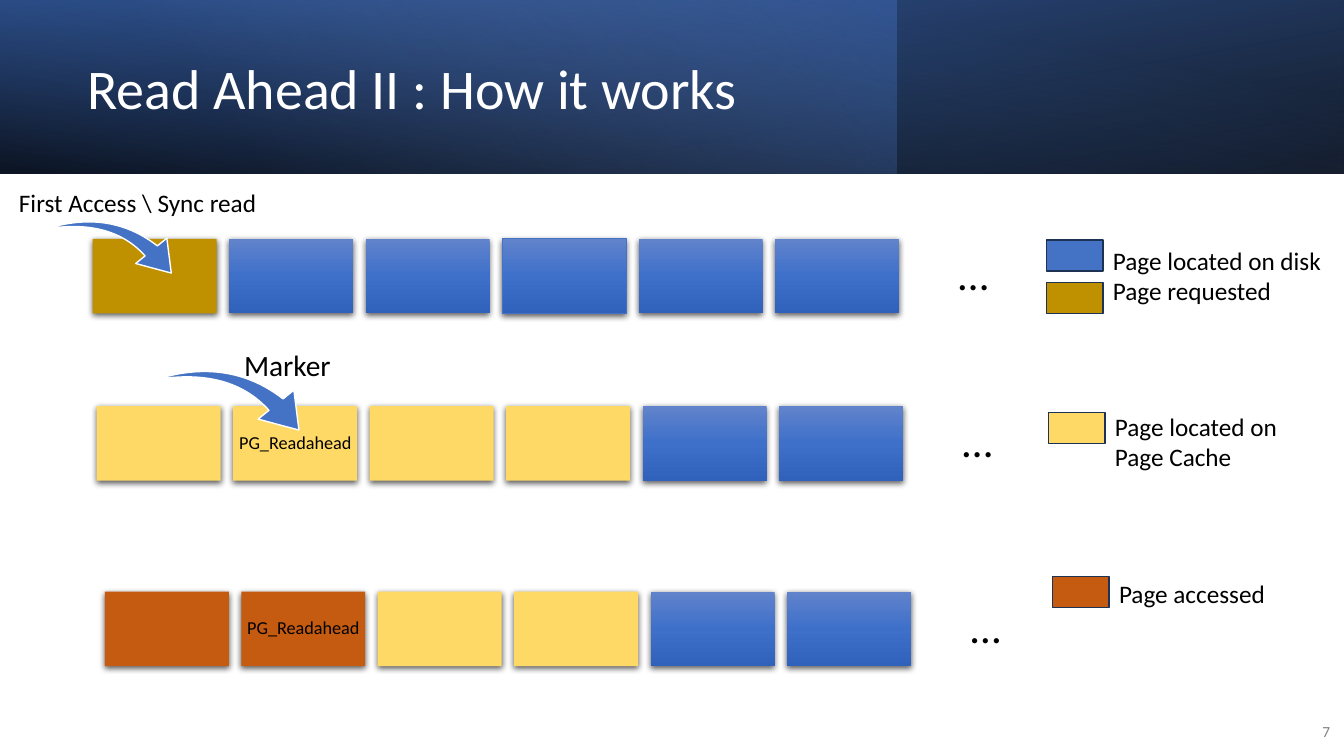
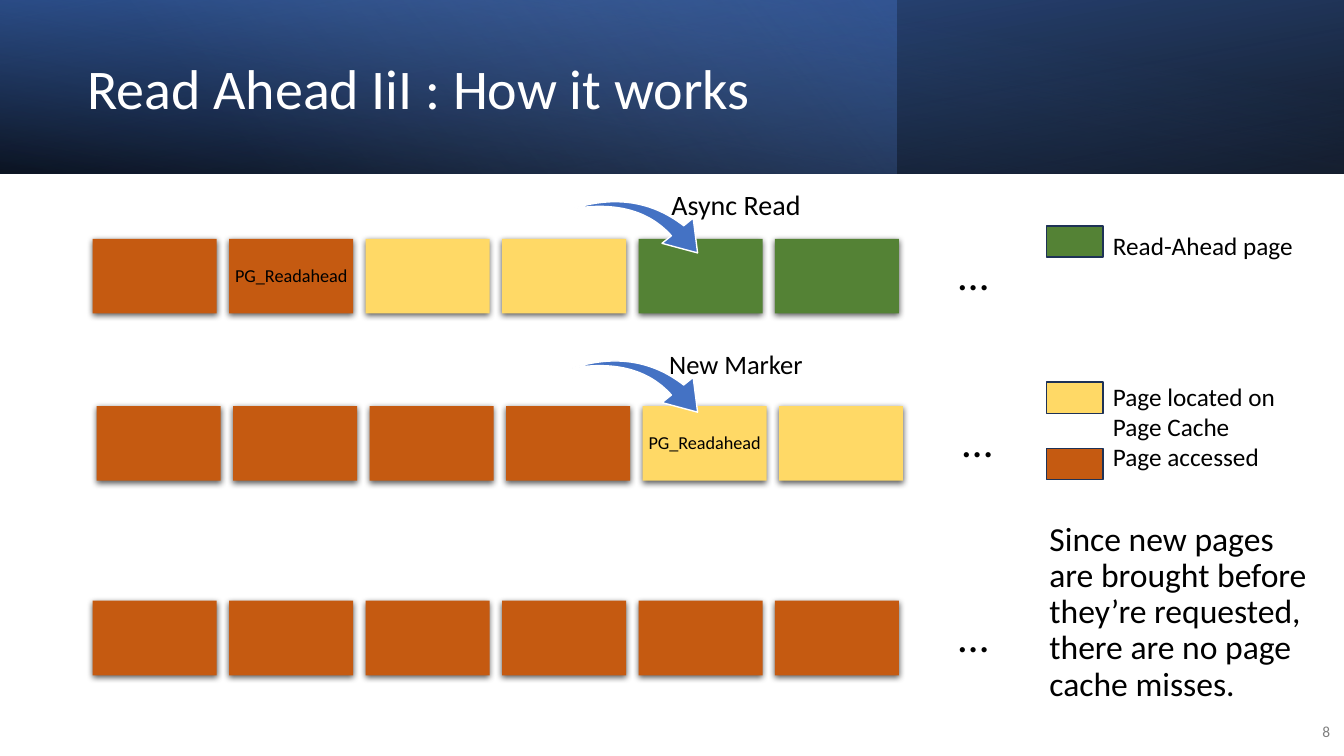
"""Build two slides on how page read-ahead works."""
from pptx import Presentation
from pptx.dml.color import RGBColor
from pptx.enum.shapes import MSO_SHAPE
from pptx.enum.text import MSO_ANCHOR, PP_ALIGN
from pptx.oxml import parse_xml
from pptx.oxml.ns import nsdecls, qn
from pptx.util import Inches, Pt

FONT = "Calibri"
COLORS = {
    "black": "000000",
    "white": "FFFFFF",
    "number": "808080",
    "navy": "2F5597",
    "blue": "4472C4",
    "pale_blue": "8FAADC",
    "swatch_line": "1E3256",
    "disk_top": "6183CB",
    "disk_middle": "3E70CA",
    "disk_bottom": "3062BB",
    "disk": "4472C4",
    "requested": "BF9000",
    "cached": "FFD966",
    "accessed": "C55A11",
    "ahead": "548235",
}
DISK_STOPS = [(0, "disk_top", 100), (50, "disk_middle", 100), (100, "disk_bottom", 100)]
BAND_HEIGHT = 1.72
TILE_WIDTH, TILE_HEIGHT = 1.23, 0.74
TILES_PER_ROW = 6
TILE_PITCH = 8.12 / TILES_PER_ROW
SWATCH_WIDTH, SWATCH_HEIGHT = 0.56, 0.31
MARKER = "PG_Readahead"


def color(name):
    return RGBColor.from_string(COLORS[name])


def add_block(page, left, top, width, height, fill=None, line=None, preset=MSO_SHAPE.RECTANGLE):
    block = page.shapes.add_shape(preset, Inches(left), Inches(top), Inches(width), Inches(height))
    block.shadow.inherit = False
    if fill:
        block.fill.solid()
        block.fill.fore_color.rgb = color(fill)
    else:
        block.fill.background()
    if line:
        block.line.color.rgb = color(line)
        block.line.width = Pt(1)
    else:
        block.line.fill.background()
    return block


def set_gradient(block, stops, angle):
    stop_xml = "".join(
        f'<a:gs pos="{position * 1000}"><a:srgbClr val="{COLORS[name]}">'
        f'<a:alpha val="{alpha * 1000}"/></a:srgbClr></a:gs>'
        for position, name, alpha in stops
    )
    gradient = parse_xml(
        f'<a:gradFill {nsdecls("a")} rotWithShape="1"><a:gsLst>{stop_xml}</a:gsLst>'
        f'<a:lin ang="{angle * 60000}" scaled="0"/></a:gradFill>'
    )
    properties = block._element.spPr
    properties.replace(properties.find(qn("a:noFill")), gradient)


def set_shadow(block):
    effects = block._element.spPr.find(qn("a:effectLst"))
    effects.append(parse_xml(
        f'<a:outerShdw {nsdecls("a")} blurRad="{Pt(4.5)}" dist="{Pt(1.5)}" dir="5400000" '
        f'algn="ctr" rotWithShape="0"><a:srgbClr val="{COLORS["black"]}">'
        f'<a:alpha val="63000"/></a:srgbClr></a:outerShdw>'
    ))


def add_text(page, left, top, width, height, lines, size, fill="black", align=PP_ALIGN.LEFT,
             anchor=MSO_ANCHOR.TOP, insets=(0.1, 0.05), spacing=0.9, wrap=True):
    box = page.shapes.add_textbox(Inches(left), Inches(top), Inches(width), Inches(height))
    frame = box.text_frame
    frame.word_wrap = wrap
    frame.vertical_anchor = anchor
    frame.margin_left = frame.margin_right = Inches(insets[0])
    frame.margin_top = frame.margin_bottom = Inches(insets[1])
    for index, line in enumerate(lines):
        para = frame.add_paragraph() if index else frame.paragraphs[0]
        para.alignment = align
        para.line_spacing = spacing
        span = para.add_run()
        span.text = line
        span.font.name = FONT
        span.font.size = Pt(size)
        span.font.color.rgb = color(fill)


def add_band(page, width, stops, angle, flip=False, rotation=0):
    band = add_block(page, 0, 0, width, BAND_HEIGHT)
    set_gradient(band, stops, angle)
    band.rotation = rotation
    if flip:
        band._element.spPr.find(qn("a:xfrm")).set("flipH", "1")


def add_page(deck, title, number):
    page = deck.slides.add_slide(deck.slide_layouts[6])
    add_band(page, 13.33, [(0, "black", 96), (100, "navy", 100)], 100, flip=True, rotation=180)
    add_band(page, 8.89, [(0, "blue", 41), (74, "pale_blue", 0)], 140)
    add_band(page, 13.33, [(0, "black", 63), (78, "blue", 15)], 260, flip=True)
    add_text(page, 0.77, 0.27, 7.72, 1.27, [title], 40, "white", anchor=MSO_ANCHOR.MIDDLE)
    add_text(page, 12.8, 7.06, 0.49, 0.4, [str(number)], 11, "number",
             PP_ALIGN.RIGHT, MSO_ANCHOR.MIDDLE, spacing=1)
    return page


def add_row(page, left, top, kinds, marker=None):
    """Draw a row of page tiles followed by an ellipsis and return the tiles."""
    tiles = []
    for index, kind in enumerate(kinds):
        x = left + index * TILE_PITCH
        tile = add_block(page, x, top, TILE_WIDTH, TILE_HEIGHT, None if kind == "disk" else kind)
        if kind == "disk":
            set_gradient(tile, DISK_STOPS, 90)
        set_shadow(tile)
        tiles.append(tile)
        if index == marker:
            add_text(page, x, top, TILE_WIDTH, TILE_HEIGHT, [MARKER], 13, align=PP_ALIGN.CENTER,
                     anchor=MSO_ANCHOR.MIDDLE, insets=(0.05, 0.05), wrap=False)
    add_text(page, left + TILES_PER_ROW * TILE_PITCH, top, TILE_WIDTH, TILE_HEIGHT, ["…"], 31,
             align=PP_ALIGN.CENTER, anchor=MSO_ANCHOR.MIDDLE, insets=(0.13, 0.13))
    return tiles


def add_callout(page, arrow_place, label_place, label, size):
    arrow = add_block(page, *arrow_place, "blue", "white", MSO_SHAPE.SWOOSH_ARROW)
    arrow.adjustments[0] = 0.163
    arrow.adjustments[1] = 0.314
    arrow.rotation = 57.3
    add_text(page, *label_place, [label], size, align=PP_ALIGN.CENTER,
             anchor=MSO_ANCHOR.BOTTOM, insets=(0.03, 0.03))


def add_legend(page, left, top, lines, swatches, height=0.73):
    add_text(page, left + SWATCH_WIDTH, top, 2.29, height, lines, 18, spacing=1)
    for kind, y in swatches:
        add_block(page, left, y, SWATCH_WIDTH, SWATCH_HEIGHT, kind, "swatch_line")


def build_first_reads(deck):
    page = add_page(deck, "Read Ahead II : How it works", 7)
    add_row(page, 0.96, 4.03, ["cached"] * 4 + ["disk"] * 2, marker=1)
    tiles = add_row(page, 0.92, 2.37, ["requested"] + ["disk"] * 5)
    tiles[3].line.color.rgb = color("blue")
    tiles[3].line.width = Pt(0.75)
    add_row(page, 1.04, 5.87, ["accessed"] * 2 + ["cached"] * 2 + ["disk"] * 2, marker=1)
    add_callout(page, (0.62, 1.97, 1.04, 0.96), (0, 1.72, 2.73, 0.47),
                "First Access \\ Sync read", 18)
    add_callout(page, (1.73, 3.42, 1.19, 1.1), (2.14, 3.2, 1.42, 0.63), "Marker", 21)
    add_legend(page, 10.38, 2.38, ["Page located on disk", "Page requested"],
               [("disk", 2.38), ("requested", 2.8)])
    add_legend(page, 10.4, 4.03, ["Page located on Page Cache"], [("cached", 4.09)])
    add_legend(page, 10.44, 5.69, ["Page accessed"], [("accessed", 5.72)])


def build_async_reads(deck):
    page = add_page(deck, "Read Ahead IiI : How it works", 8)
    add_row(page, 0.96, 4.03, ["accessed"] * 4 + ["cached"] * 2, marker=4)
    add_row(page, 0.92, 2.37, ["accessed"] * 2 + ["cached"] * 2 + ["ahead"] * 2, marker=1)
    add_row(page, 0.92, 5.96, ["accessed"] * TILES_PER_ROW)
    add_callout(page, (5.84, 1.77, 1.04, 0.96), (6.6, 1.61, 1.4, 0.62), "Async Read", 20)
    add_callout(page, (5.84, 3.35, 1.04, 0.96), (6.6, 3.18, 1.4, 0.62), "New Marker", 19)
    add_legend(page, 10.38, 2.24, ["Read-Ahead page"], [("ahead", 2.24)])
    add_text(page, 10.31, 5.13, 2.77, 2.15, [
        "Since new pages are brought before they’re requested, there are no page cache misses."
    ], 24)
    add_legend(page, 10.38, 3.73, ["Page located on Page Cache", "Page accessed"],
               [("cached", 3.79), ("accessed", 4.45)], height=1.11)


def main():
    deck = Presentation()
    deck.slide_width = Inches(13.33)
    deck.slide_height = Inches(7.5)
    build_first_reads(deck)
    build_async_reads(deck)
    deck.save("out.pptx")


if __name__ == "__main__":
    main()
